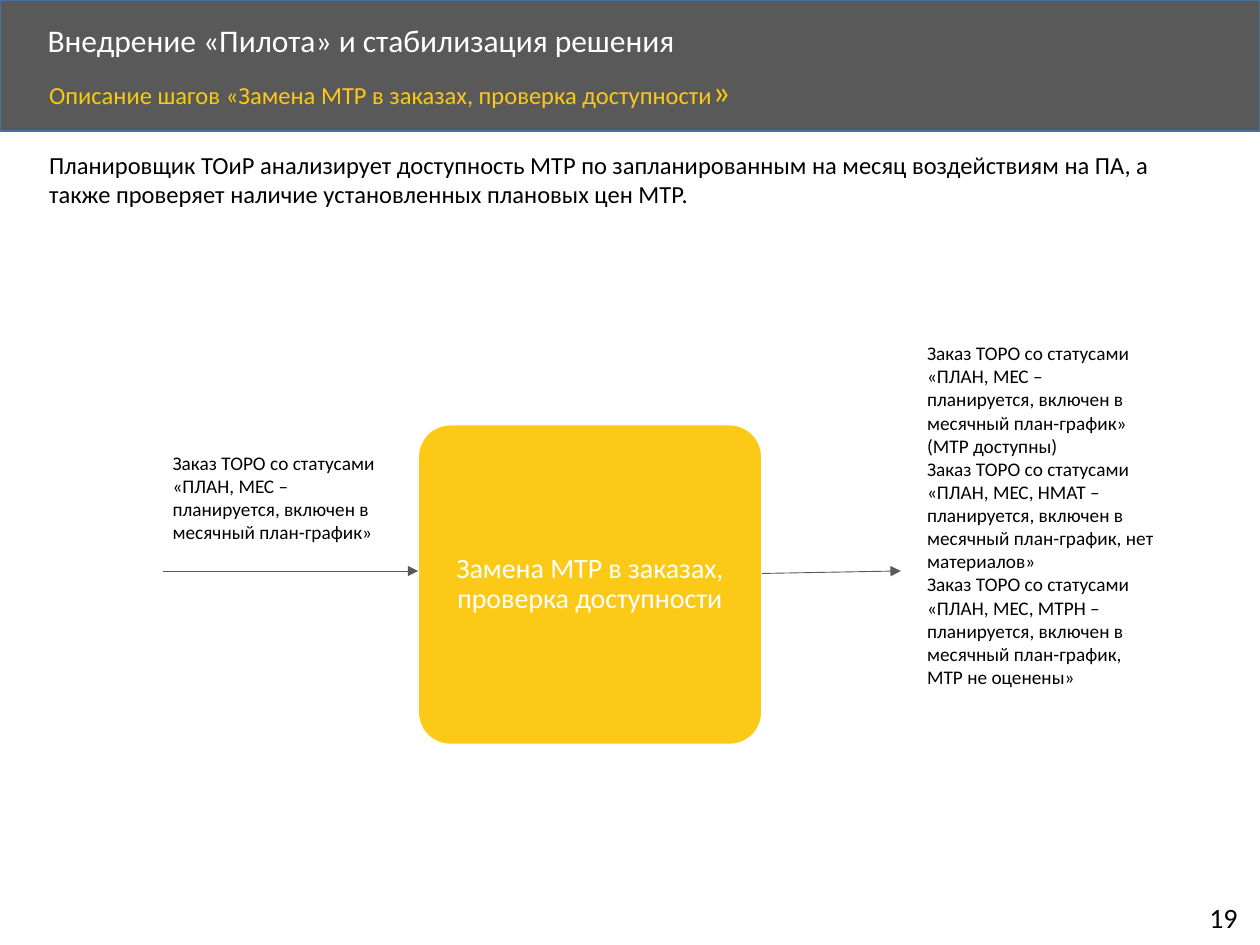
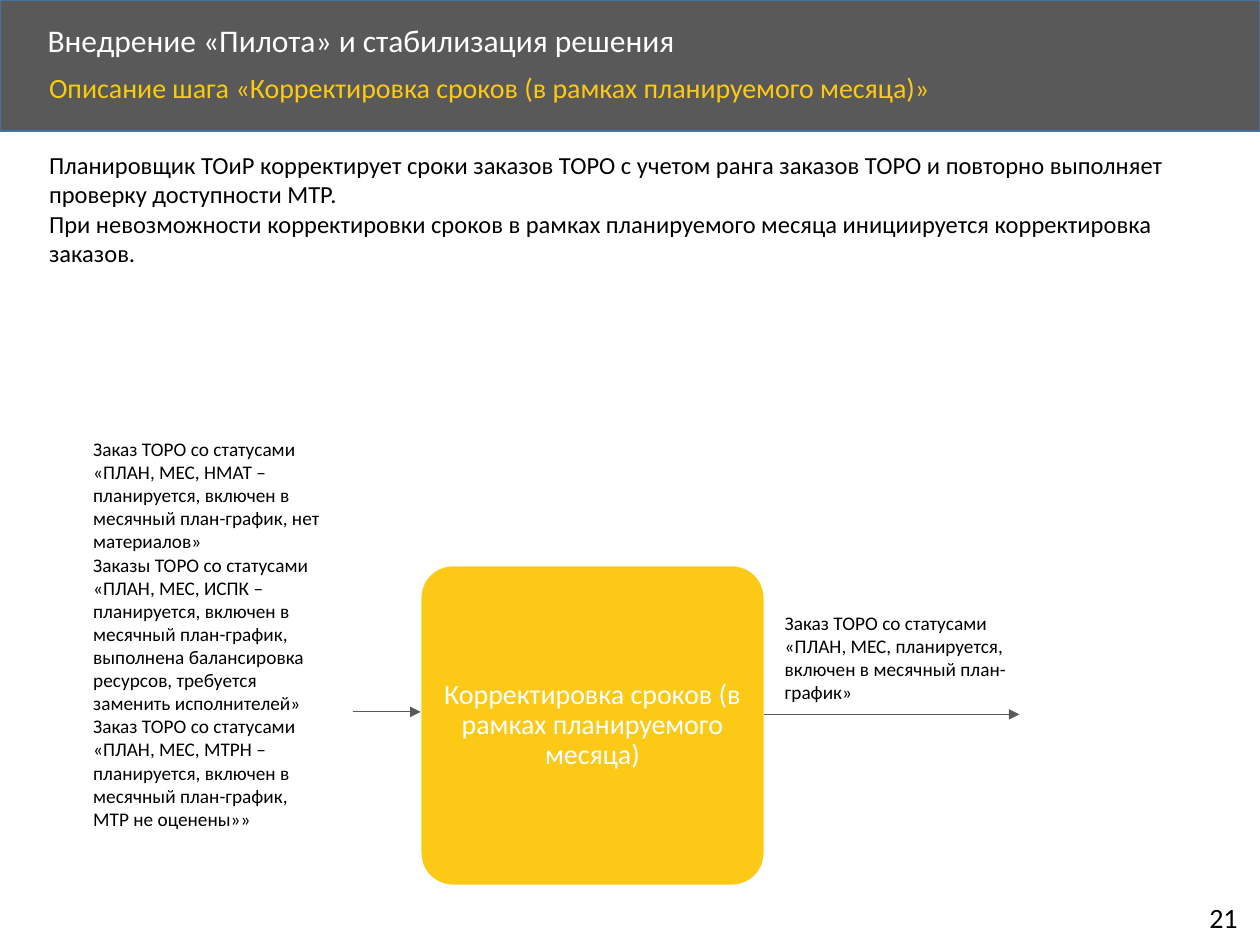
import pptx
import pptx.dml.color
import pptx.enum.shapes
import pptx.enum.text
import pptx.oxml
import pptx.oxml.ns
import pptx.util
from pptx.util import Cm

FONT = "Calibri"
GREY, BAND_EDGE = "595959", "43739E"
YELLOW, SUBTITLE_YELLOW = "FCC917", "F6CC0C"
WHITE, BLACK = "FFFFFF", "000000"
PAGE_WIDTH, PAGE_HEIGHT = 25.4, 19.05
STEP_WIDTH, STEP_HEIGHT = 6.93, 6.45
NOTE_WIDTH = 5.08
SECTION_TITLE = "Внедрение «Пилота» и стабилизация решения"


def colour(hex_value):
    return pptx.dml.color.RGBColor.from_string(hex_value)


def add_run(paragraph, text, size, hex_value):
    run = paragraph.add_run()
    run.text = text
    run.font.name = FONT
    run.font.size = pptx.util.Pt(size)
    run.font.color.rgb = colour(hex_value)


def add_text(slide, box, paragraphs, spacing=None, wrap=True, middle=False):
    """Each paragraph is a list of (text, size, colour) runs."""
    shape = slide.shapes.add_textbox(*map(Cm, box))
    frame = shape.text_frame
    frame.word_wrap = wrap
    if middle:
        frame.vertical_anchor = pptx.enum.text.MSO_ANCHOR.MIDDLE
    for index, runs in enumerate(paragraphs):
        paragraph = frame.add_paragraph() if index else frame.paragraphs[0]
        paragraph.line_spacing = spacing
        for run in runs:
            add_run(paragraph, *run)


def add_block(slide, kind, box, fill, edge):
    shape = slide.shapes.add_shape(kind, *map(Cm, box))
    shape.shadow.inherit = False
    shape.fill.solid()
    shape.fill.fore_color.rgb = colour(fill)
    shape.line.color.rgb = colour(edge)
    shape.line.width = pptx.util.Pt(1)
    return shape


def add_arrow(slide, start, end):
    arrow = slide.shapes.add_connector(
        pptx.enum.shapes.MSO_CONNECTOR.STRAIGHT, *map(Cm, start + end))
    arrow.line.color.rgb = colour(GREY)
    arrow.line.width = pptx.util.Pt(0.5)
    head = pptx.oxml.parse_xml(
        f'<a:tailEnd {pptx.oxml.ns.nsdecls("a")} type="triangle"/>')
    arrow.line._get_or_add_ln().append(head)
    arrow._element.spPr.append(pptx.oxml.parse_xml(
        f'<a:effectLst {pptx.oxml.ns.nsdecls("a")}/>'))


def add_frame(slide, subtitle, number):
    """Header band with title and subtitle, and the page number."""
    add_block(slide, pptx.enum.shapes.MSO_SHAPE.RECTANGLE,
              (0, 0, PAGE_WIDTH, 2.64), GREY, BAND_EDGE)
    add_text(slide, (0.71, 0.36, 20.5, 0.97),
             [[(SECTION_TITLE, 18, WHITE)]], spacing=0.9, middle=True)
    add_text(slide, (0.74, 1.37, 21.97, 1.14), [subtitle], spacing=0.9)
    add_text(slide, (24.13, 18.03, 1.17, 0.94),
             [[(number, 16, BLACK)]], wrap=False)


def add_intro(slide, height, texts):
    add_text(slide, (0.74, 2.9, 24.03, height),
             [[(text, 14, BLACK)] for text in texts])


def add_step(slide, left, top, name, arrows, notes):
    """Step block; arrows and notes are placed relative to its corner."""
    step = add_block(slide, pptx.enum.shapes.MSO_SHAPE.ROUNDED_RECTANGLE,
                     (left, top, STEP_WIDTH, STEP_HEIGHT), YELLOW, WHITE)
    step.adjustments[0] = 0.1
    frame = step.text_frame
    frame.word_wrap = True
    frame.vertical_anchor = pptx.enum.text.MSO_ANCHOR.MIDDLE
    frame.margin_left = frame.margin_right = 0
    frame.margin_top = frame.margin_bottom = 0
    paragraph = frame.paragraphs[0]
    paragraph.alignment = pptx.enum.text.PP_ALIGN.CENTER
    paragraph.line_spacing = 0.9
    add_run(paragraph, name, 16, WHITE)

    for (x1, y1), (x2, y2) in arrows:
        add_arrow(slide, (left + x1, top + y1), (left + x2, top + y2))
    for x, y, height, texts in notes:
        add_text(slide, (left + x, top + y, NOTE_WIDTH, height),
                 [[(text, 11, BLACK)] for text in texts])


def build_replacement_slide(slide):
    add_frame(slide, [
        ("Описание шагов ", 14, SUBTITLE_YELLOW),
        ("«Замена МТР в заказах, проверка доступности", 14, YELLOW),
        ("»", 20, SUBTITLE_YELLOW)], "19")
    add_intro(slide, 1.45, [
        "Планировщик ТОиР анализирует доступность МТР по запланированным на "
        "месяц воздействиям на ПА, а также проверяет наличие установленных "
        "плановых цен МТР."])
    inputs = ["Заказ ТОРО со статусами «ПЛАН, МЕС – планируется, включен в "
              "месячный план-график»"]
    outputs = [
        "Заказ ТОРО со статусами «ПЛАН, МЕС – планируется, включен в "
        "месячный план-график» (МТР доступны)",
        "Заказ ТОРО со статусами «ПЛАН, МЕС, НМАТ – планируется, включен в "
        "месячный план-график, нет материалов»",
        "Заказ ТОРО со статусами «ПЛАН, МЕС, МТРН – планируется, включен в "
        "месячный план-график, МТР не оценены»"]
    add_step(slide, 8.43, 8.56, "Замена МТР в заказах, проверка доступности",
             arrows=[((-5.15, 2.95), (0, 2.95)),
                     ((STEP_WIDTH, 3), (9.73, 2.95))],
             notes=[(-5.2, 0.41, 2.13, inputs), (10.01, -1.8, 7.32, outputs)])


def build_correction_slide(slide):
    add_frame(slide, [
        ("Описание шага ", 16, SUBTITLE_YELLOW),
        ("«Корректировка сроков (в рамках планируемого месяца)»", 16, YELLOW),
    ], "21")
    add_intro(slide, 2.64, [
        "Планировщик ТОиР корректирует сроки заказов ТОРО с учетом ранга "
        "заказов ТОРО и повторно выполняет проверку доступности МТР.",
        "При невозможности корректировки сроков в рамках планируемого месяца "
        "инициируется корректировка заказов."])
    inputs = [
        "Заказ ТОРО со статусами «ПЛАН, МЕС, НМАТ – планируется, включен в "
        "месячный план-график, нет материалов»",
        "Заказы ТОРО со статусами «ПЛАН, МЕС, ИСПК – планируется, включен в "
        "месячный план-график, выполнена балансировка ресурсов, требуется "
        "заменить исполнителей»",
        "Заказ ТОРО со статусами «ПЛАН, МЕС, МТРН – планируется, включен в "
        "месячный план-график, МТР не оценены»»"]
    outputs = ["Заказ ТОРО со статусами «ПЛАН, МЕС, планируется, включен в "
               "месячный план-график»"]
    add_step(slide, 8.48, 11.4,
             "Корректировка сроков (в рамках планируемого месяца)",
             arrows=[((-1.37, 2.95), (0, 2.95)),
                     ((STEP_WIDTH, 3), (12.07, 3))],
             notes=[(-6.85, -2.71, 8.26, inputs), (7.09, 0.79, 2.13, outputs)])


def main():
    presentation = pptx.Presentation()
    presentation.slide_width = Cm(PAGE_WIDTH)
    presentation.slide_height = Cm(PAGE_HEIGHT)
    blank = presentation.slide_layouts[6]
    for build in (build_replacement_slide, build_correction_slide):
        build(presentation.slides.add_slide(blank))
    presentation.save("out.pptx")


if __name__ == "__main__":
    main()
